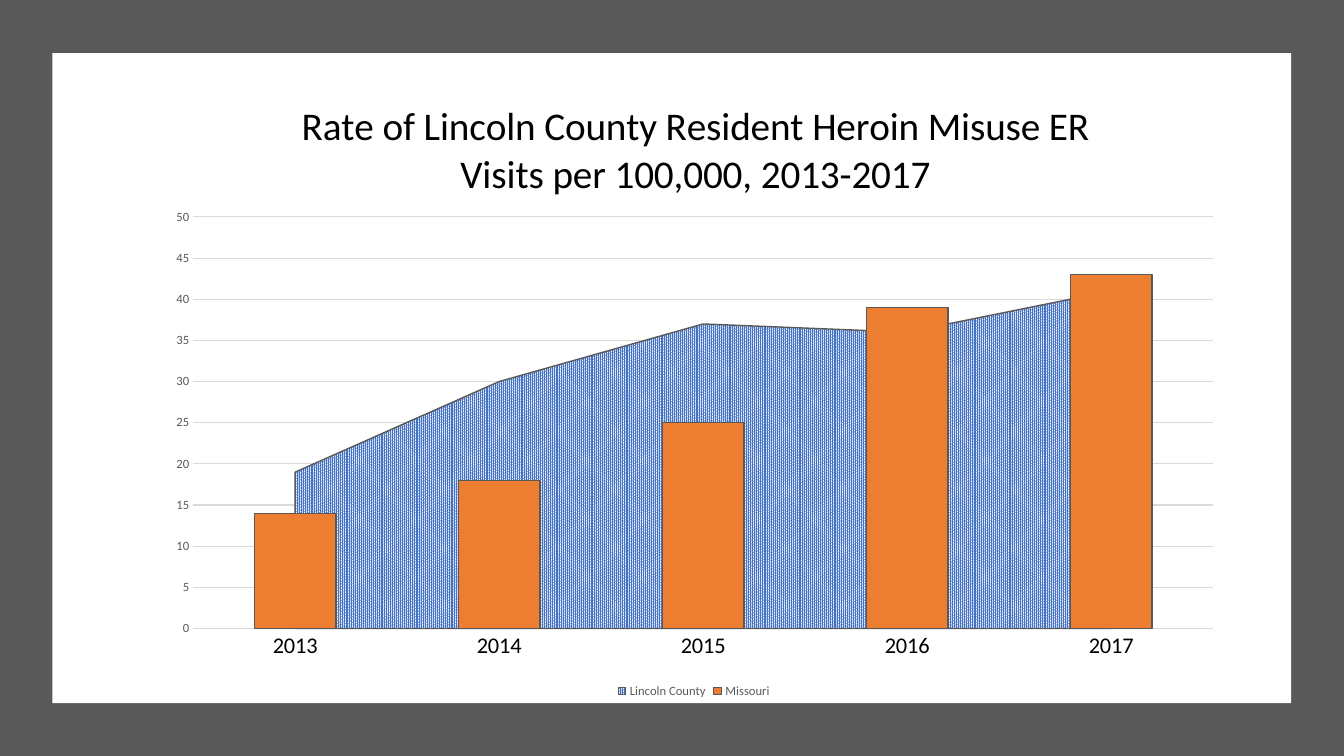
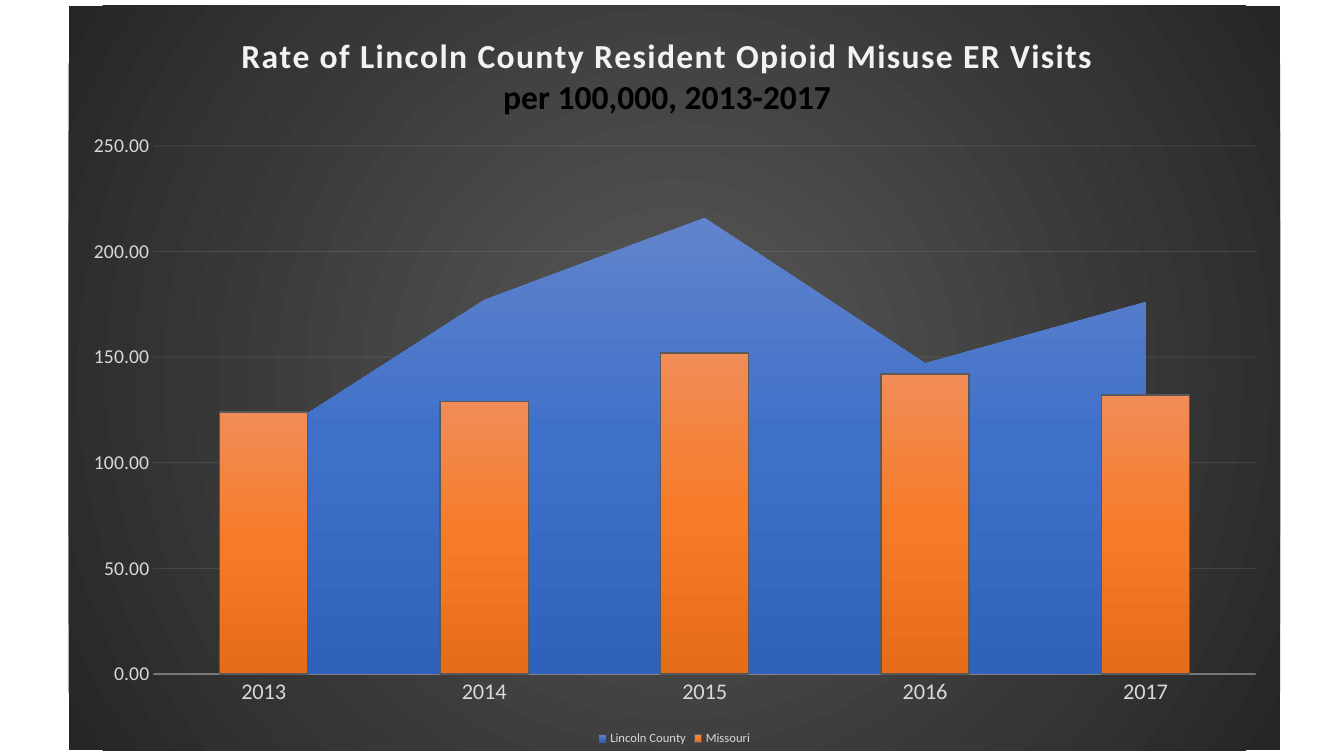
from copy import deepcopy
from dataclasses import dataclass
from typing import Optional

from pptx import Presentation
from pptx.chart.chart import Chart
from pptx.chart.data import CategoryChartData as Data
from pptx.dml.color import RGBColor as RGB
from pptx.dml.line import LineFormat as Line
from pptx.enum.chart import XL_CHART_TYPE as Kind, XL_LEGEND_POSITION as Side
from pptx.enum.chart import XL_TICK_MARK as Tick
from pptx.enum.dml import MSO_PATTERN as Pat
from pptx.enum.shapes import MSO_SHAPE as Form
from pptx.enum.text import PP_ALIGN as Align
from pptx.oxml import parse_xml
from pptx.oxml.ns import nsdecls
from pptx.oxml.xmlchemy import BaseOxmlElement as Node
from pptx.slide import Slide
from pptx.text.text import Font
from pptx.util import Cm, Pt

FACE = "Calibri"
BLACK = RGB(0, 0, 0)
WHITE = RGB(0xFF, 0xFF, 0xFF)
GRAY = RGB(0x59, 0x59, 0x59)
DARK = RGB(0x26, 0x26, 0x26)
SILVER = RGB(0xD9, 0xD9, 0xD9)
PALE = RGB(0xF2, 0xF2, 0xF2)
BLUE = RGB(0x44, 0x72, 0xC4)
ORANGE = RGB(0xED, 0x7D, 0x31)
BLUES = (RGB(0x61, 0x83, 0xCB), RGB(0x3E, 0x70, 0xCA), RGB(0x30, 0x62, 0xBB))
ORANGES = (RGB(0xF1, 0x8C, 0x57), RGB(0xF6, 0x7B, 0x28), RGB(0xE5, 0x6C, 0x19))
GLOW = (GRAY, DARK)

YEARS = ("2013", "2014", "2015", "2016", "2017")
DOWN = '<a:lin ang="5400000" scaled="0"/>'
ROUND = ('<a:path path="circle"><a:fillToRect l="50000" t="50000" '
         'r="50000" b="50000"/></a:path>')


@dataclass(frozen=True)
class Stroke:
    color: RGB
    width: float = 0.75
    alpha: Optional[int] = None


@dataclass(frozen=True)
class Head:
    """One line of a chart title."""
    text: str
    size: int
    color: RGB = BLACK
    bold: bool = False
    space: int = 0


@dataclass(frozen=True)
class Rates:
    """A county area behind state columns; boxes are parts of the chart."""
    box: tuple[float, float, float, float]
    county: tuple[int, ...]
    state: tuple[int, ...]
    heads: tuple[Head, ...]
    spot: tuple[float, float]
    plot: tuple[float, float, float, float]
    top: int
    step: int
    code: str
    years: RGB
    labels: RGB
    size: int
    base: Stroke
    grid: Stroke
    glossy: bool


HEROIN = Rates(
    box=(3.89, 1.52, 27.2, 16.18),
    county=(19, 30, 37, 36, 41), state=(14, 18, 25, 39, 43),
    heads=(Head("Rate of Lincoln County Resident Heroin Misuse ER "
                "Visits per 100,000, 2013-2017", 28),),
    spot=(0.13, 0.05), plot=(0.036, 0.244, 0.945, 0.641),
    top=50, step=5, code="0", years=BLACK, labels=GRAY, size=9,
    base=Stroke(SILVER), grid=Stroke(SILVER), glossy=False)

OPIOID = Rates(
    box=(1.73, 0.15, 30.53, 18.75),
    county=(110, 177, 216, 147, 176), state=(124, 129, 152, 142, 132),
    heads=(Head("Rate of Lincoln County Resident Opioid Misuse ER Visits",
                24, PALE, True, 100),
           Head("per 100,000, 2013-2017", 24, BLACK, True)),
    spot=(0.14, 0.035), plot=(0.07, 0.188, 0.91, 0.71),
    top=250, step=50, code="0.00", years=SILVER, labels=SILVER, size=14,
    base=Stroke(PALE, 1, 54), grid=Stroke(PALE, 0.75, 10), glossy=True)


def style(font: Font, size: int, color: RGB, bold: bool = False) -> None:
    font.name, font.size, font.bold = FACE, Pt(size), bold
    font.color.rgb = color


def draw(line: Line, stroke: Stroke) -> None:
    line.color.rgb = stroke.color
    line.width = Pt(stroke.width)


def fade(owner: Node, stroke: Stroke) -> None:
    """Make the line colour inside owner see-through."""
    if stroke.alpha is not None:
        tint = owner.xpath("./c:spPr/a:ln/a:solidFill/a:srgbClr")[0]
        tint.append(parse_xml(
            f'<a:alpha {nsdecls("a")} val="{stroke.alpha * 1000}"/>'))


def blend(hues: tuple[RGB, ...], way: str) -> Node:
    gap = 100000 // (len(hues) - 1)
    stops = "".join(f'<a:gs pos="{i * gap}"><a:srgbClr val="{hue}"/></a:gs>'
                    for i, hue in enumerate(hues))
    return parse_xml(f'<a:gradFill {nsdecls("a")} rotWithShape="1">'
                     f'<a:gsLst>{stops}</a:gsLst>{way}</a:gradFill>')


def place(owner: Node, index: int, inner: bool, *spots: float) -> None:
    """Give a chart part a fixed x, y and, if listed, width and height."""
    for old in owner.xpath("./c:layout"):
        owner.remove(old)
    target = '<c:layoutTarget val="inner"/>' if inner else ""
    modes = '<c:xMode val="edge"/><c:yMode val="edge"/>'
    sizes = "".join(f'<c:{key} val="{val}"/>' for key, val in zip("xywh", spots))
    owner.insert(index, parse_xml(
        f'<c:layout {nsdecls("c")}><c:manualLayout>{target}{modes}{sizes}'
        '</c:manualLayout></c:layout>'))


def split(chart: Chart) -> None:
    """Move the second series from the area plot to a column plot."""
    area = chart.element.xpath(".//c:areaChart")[0]
    bars = parse_xml(
        f'<c:barChart {nsdecls("c")}><c:barDir val="col"/>'
        '<c:grouping val="clustered"/><c:varyColors val="0"/>'
        '<c:gapWidth val="150"/></c:barChart>')
    bars.insert(3, area.xpath("./c:ser")[1])
    for axis in area.xpath("./c:axId"):
        bars.append(deepcopy(axis))
    area.addnext(bars)
    chart.element.xpath(".//c:crossBetween")[0].set("val", "between")


def paint(chart: Chart, glossy: bool) -> None:
    for plot in chart.plots:
        plot.vary_by_categories = False
    county, state = (plot.series[0].format for plot in chart.plots)
    draw(state.line, Stroke(GRAY, 1))
    if not glossy:
        draw(county.line, Stroke(GRAY, 1))
        county.fill.patterned()
        county.fill.pattern = Pat.PERCENT_90
        county.fill.fore_color.rgb = BLUE
        county.fill.back_color.rgb = WHITE
        state.fill.solid()
        state.fill.fore_color.rgb = ORANGE
        return
    county.line.fill.background()
    for props, hues in zip(chart.element.xpath(".//c:ser/c:spPr"),
                           (BLUES, ORANGES)):
        props.insert(0, blend(hues, DOWN))
    back = parse_xml(f'<c:spPr {nsdecls("c", "a")}><a:ln><a:noFill/></a:ln></c:spPr>')
    back.insert(0, blend(GLOW, ROUND))
    chart.element.xpath("./c:txPr")[0].addprevious(back)


def name(chart: Chart, rates: Rates) -> None:
    """Write the chart title."""
    frame = chart.chart_title.text_frame
    for i, head in enumerate(rates.heads):
        para = frame.add_paragraph() if i else frame.paragraphs[0]
        para.text = head.text
        para.alignment = Align.CENTER
        style(para.font, head.size, head.color, head.bold)
    title = chart.element.xpath(".//c:title")[0]
    for props, head in zip(title.xpath(".//a:pPr/a:defRPr"), rates.heads):
        props.set("spc", str(head.space))
    place(title, 1, False, *rates.spot)


def scale(chart: Chart, rates: Rates) -> None:
    """Set up both axes and the grid."""
    cats, vals = chart.category_axis, chart.value_axis
    for axis in (cats, vals):
        axis.major_tick_mark = axis.minor_tick_mark = Tick.NONE
    style(cats.tick_labels.font, 16, rates.years)
    style(vals.tick_labels.font, rates.size, rates.labels)
    cats.has_major_gridlines = False
    draw(cats.format.line, rates.base)
    fade(chart.element.xpath(".//c:catAx")[0], rates.base)
    vals.minimum_scale, vals.maximum_scale = 0, rates.top
    vals.major_unit = rates.step
    vals.tick_labels.number_format = rates.code
    vals.tick_labels.number_format_is_linked = False
    vals.format.line.fill.background()
    vals.has_major_gridlines = True
    draw(vals.major_gridlines.format.line, rates.grid)
    fade(chart.element.xpath(".//c:majorGridlines")[0], rates.grid)


def graph(slide: Slide, rates: Rates) -> None:
    data = Data(number_format=rates.code)
    data.categories = YEARS
    data.add_series("Lincoln County", rates.county)
    data.add_series("Missouri", rates.state)
    box = (Cm(side) for side in rates.box)
    chart = slide.shapes.add_chart(Kind.AREA_STACKED, *box, data).chart
    style(chart.font, 10, BLACK)
    split(chart)
    paint(chart, rates.glossy)
    name(chart, rates)
    scale(chart, rates)
    place(chart.element.xpath(".//c:plotArea")[0], 0, True, *rates.plot)
    chart.has_legend = True
    chart.legend.position = Side.BOTTOM
    chart.legend.include_in_layout = False
    style(chart.legend.font, 9, rates.labels)


def panel(slide: Slide, color: RGB, *box: float) -> None:
    shape = slide.shapes.add_shape(Form.RECTANGLE, *(Cm(side) for side in box))
    shape.shadow.inherit = False
    shape.fill.solid()
    shape.fill.fore_color.rgb = color
    shape.line.fill.background()


def main() -> None:
    deck = Presentation()
    deck.slide_width, deck.slide_height = Cm(33.87), Cm(19.05)
    blank = deck.slide_layouts[6]
    first = deck.slides.add_slide(blank)
    panel(first, GRAY, 0, 0, 33.87, 19.05)
    panel(first, WHITE, 1.32, 1.34, 31.22, 16.38)
    graph(first, HEROIN)
    graph(deck.slides.add_slide(blank), OPIOID)
    deck.save("out.pptx")


if __name__ == "__main__":
    main()
